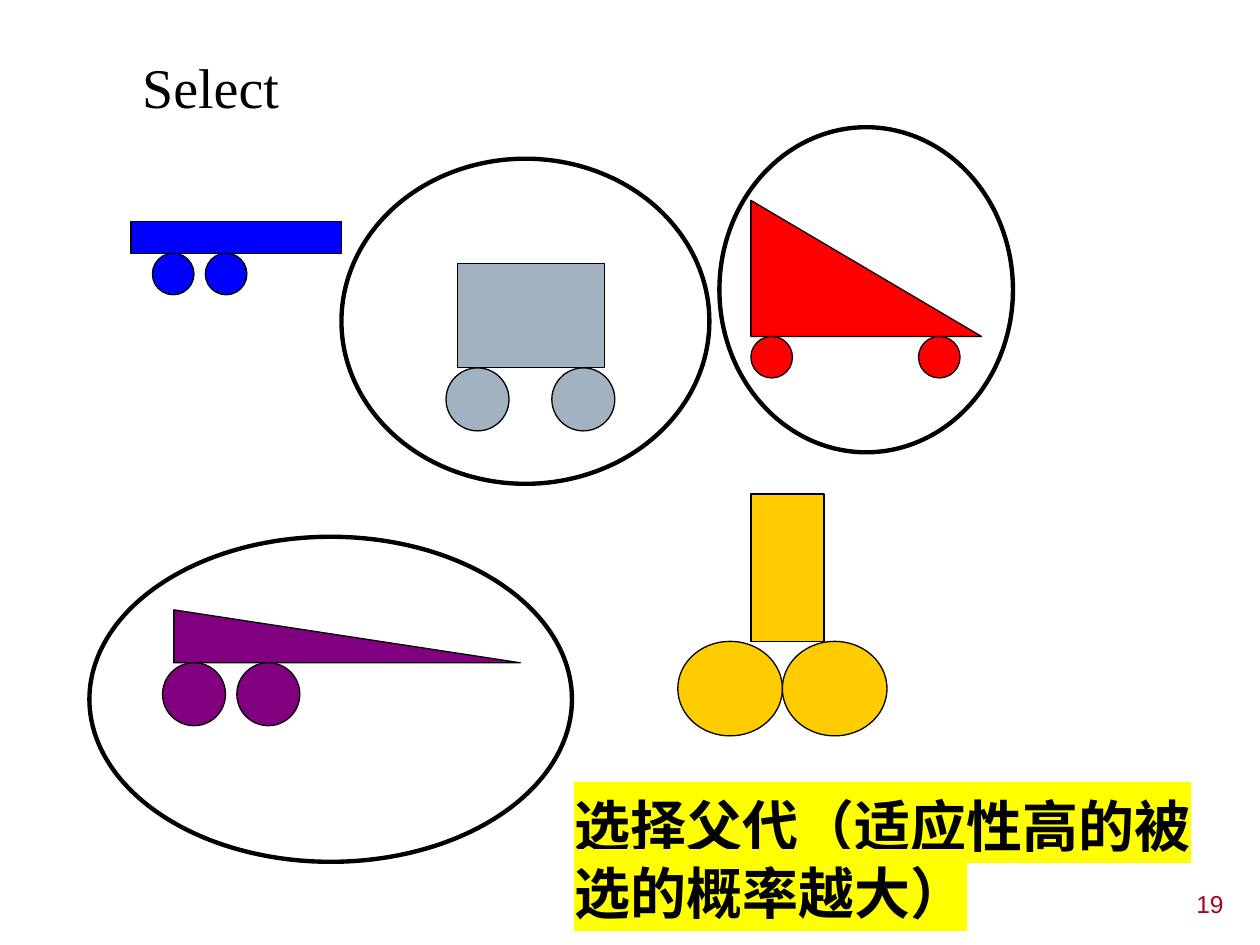
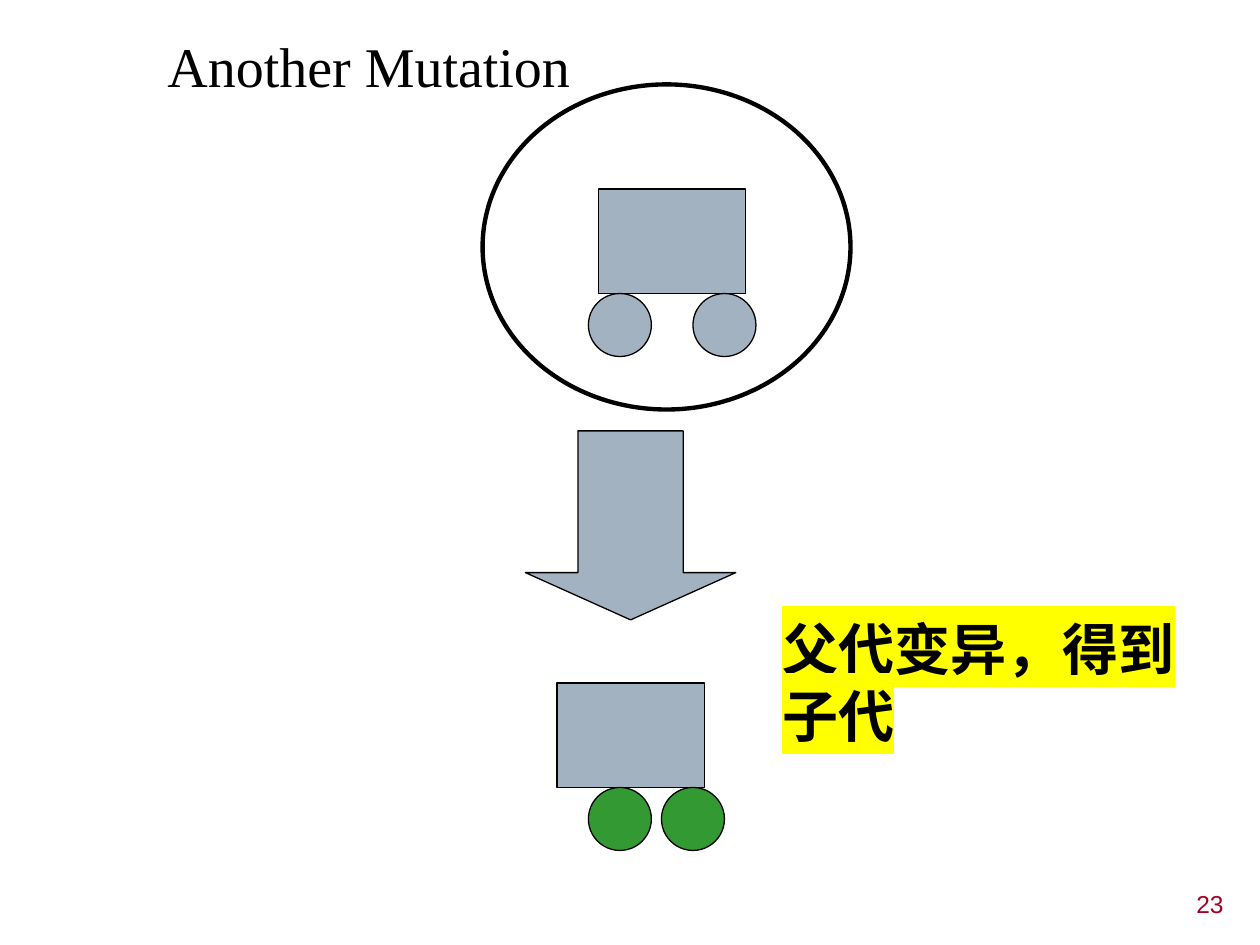
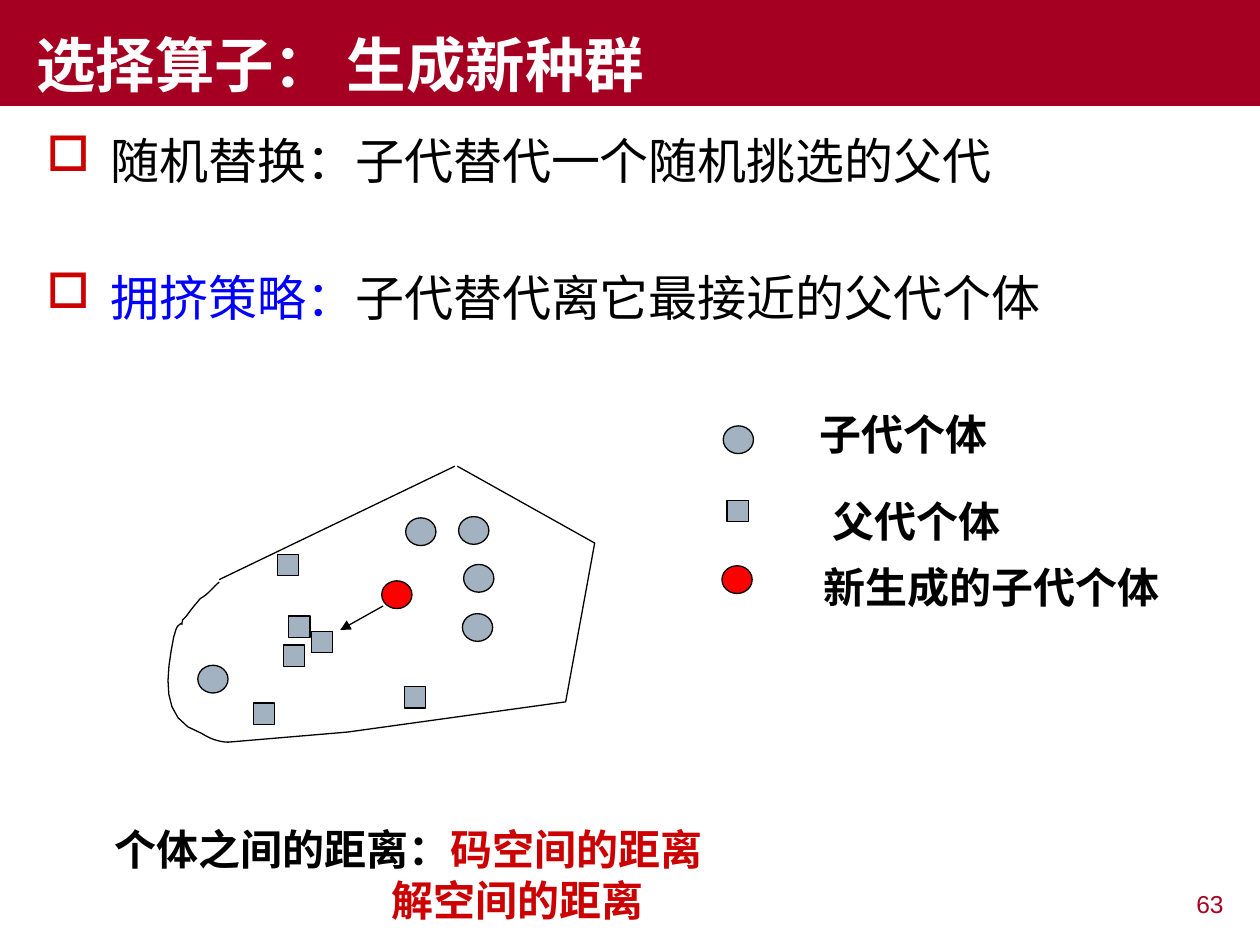
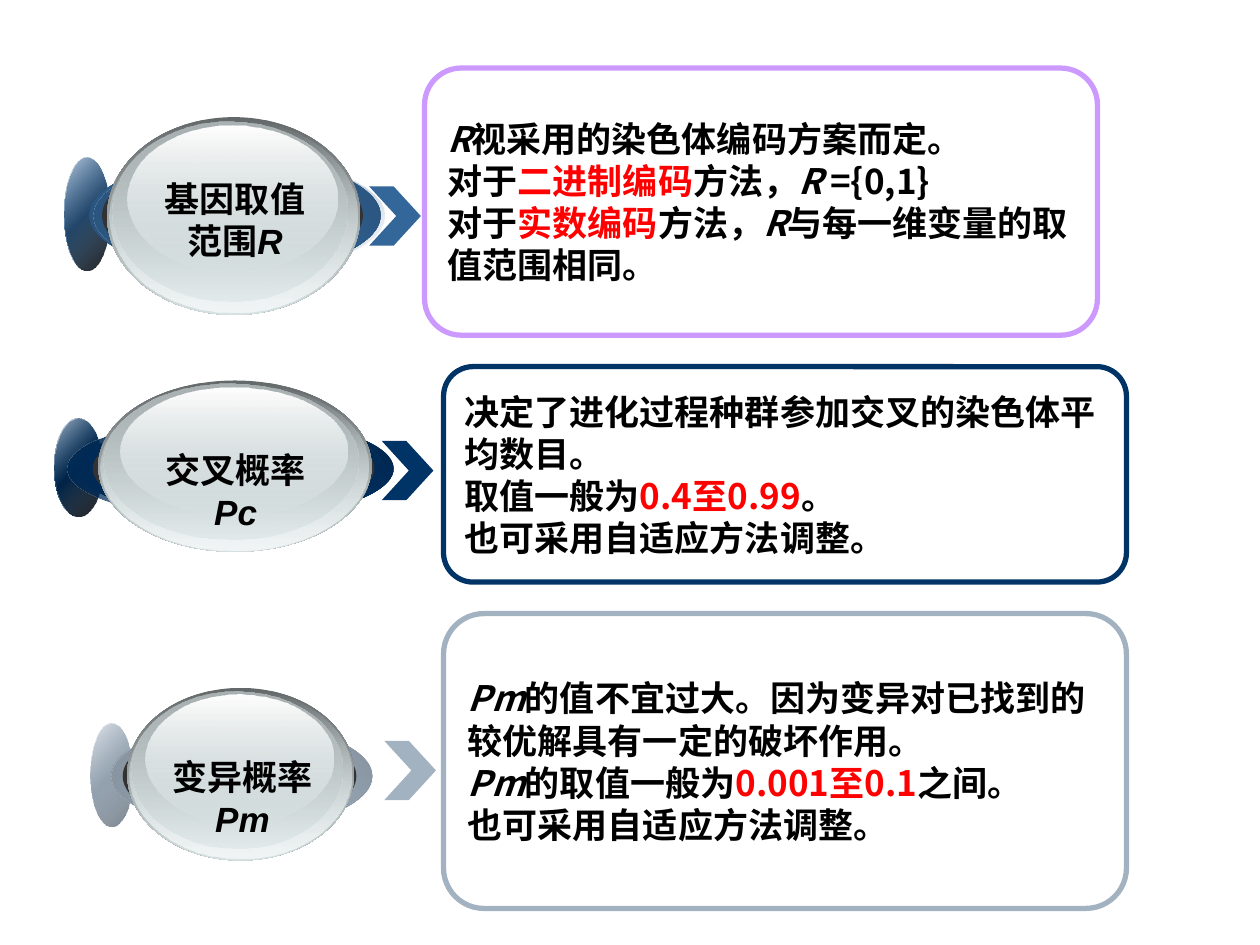
import pptx
import pptx.dml.color
import pptx.enum.shapes
import pptx.enum.text
import pptx.oxml
import pptx.oxml.ns
import pptx.util

Inches = pptx.util.Inches
Pt = pptx.util.Pt
RGBColor = pptx.dml.color.RGBColor
SHAPE = pptx.enum.shapes.MSO_SHAPE
ALIGN = pptx.enum.text.PP_ALIGN
ANCHOR = pptx.enum.text.MSO_ANCHOR

BLACK = RGBColor(0x00, 0x00, 0x00)
WHITE = RGBColor(0xFF, 0xFF, 0xFF)
CRIMSON = RGBColor(0xA5, 0x00, 0x21)
DARK_RED = RGBColor(0xCC, 0x00, 0x00)
RED = RGBColor(0xFF, 0x00, 0x00)
BLUE = RGBColor(0x00, 0x00, 0xFF)
PURPLE = RGBColor(0x80, 0x00, 0x80)
GOLD = RGBColor(0xFF, 0xCC, 0x00)
GREEN = RGBColor(0x33, 0x99, 0x33)
YELLOW = RGBColor(0xFF, 0xFF, 0x00)
STEEL = RGBColor(0xA3, 0xB2, 0xC1)
NAVY = RGBColor(0x00, 0x33, 0x66)
OCEAN = RGBColor(0x33, 0x66, 0x99)
LILAC = RGBColor(0xCC, 0x99, 0xFF)
CHARCOAL = RGBColor(0x33, 0x33, 0x33)
RIM = RGBColor(0x63, 0x68, 0x69)
MIST = RGBColor(0xD6, 0xE1, 0xE2)
PALE = RGBColor(0xF1, 0xF5, 0xF5)
ASH = RGBColor(0xAA, 0xB2, 0xB3)

SANS = "Arial"
SERIF = "Times New Roman"
CJK = "Noto Sans CJK SC"
LEADING = 1.2


def shade(color, factor):
    return RGBColor(*(round(v * factor) for v in color))


def curve(start, c1, c2, end, steps=8):
    points = []
    for i in range(1, steps + 1):
        t = i / steps
        weights = ((1 - t) ** 3, 3 * t * (1 - t) ** 2, 3 * t * t * (1 - t), t ** 3)
        points.append(tuple(sum(w * q[axis] for w, q in zip(weights, (start, c1, c2, end)))
                            for axis in (0, 1)))
    return points


def element(tag, inner="", **attributes):
    listed = "".join(f' {name}="{value}"' for name, value in attributes.items())
    ns = pptx.oxml.ns.nsdecls("a")
    return pptx.oxml.parse_xml(f"<a:{tag} {ns}{listed}>{inner}</a:{tag}>")


class Deck:
    def __init__(self):
        self.prs = pptx.Presentation()
        self.prs.slide_width = Inches(10)
        self.prs.slide_height = Inches(7.5)
        self.s = None

    def slide(self, number=None):
        self.s = self.prs.slides.add_slide(self.prs.slide_layouts[6])
        if number:
            self.text((7.64, 7.01, 2.17, 0.39), [[number]], size=14, color=CRIMSON,
                      align=ALIGN.RIGHT)

    def paint(self, sp, fill, line, width):
        sp.shadow.inherit = False
        if fill is None:
            sp.fill.background()
        else:
            sp.fill.solid()
            sp.fill.fore_color.rgb = fill
        if line is None:
            sp.line.fill.background()
        else:
            sp.line.color.rgb = line
            sp.line.width = Pt(width)

    def shape(self, kind, at, fill=None, line=BLACK, width=0.75, adjust=()):
        sp = self.s.shapes.add_shape(kind, *map(Inches, at))
        for i, value in enumerate(adjust):
            sp.adjustments[i] = value
        self.paint(sp, fill, line, width)
        return sp

    def gradient_oval(self, at, stops, angle):
        sp = self.shape(SHAPE.OVAL, at, line=None)
        inner = "".join(
            f'<a:gs pos="{pos * 1000}"><a:srgbClr val="{color}">'
            f'<a:alpha val="{opacity * 1000}"/></a:srgbClr></a:gs>'
            for pos, color, opacity in stops)
        inner = f'<a:gsLst>{inner}</a:gsLst><a:lin ang="{angle * 60000}" scaled="1"/>'
        props = sp._element.spPr
        props.replace(props.find(pptx.oxml.ns.qn("a:noFill")),
                      element("gradFill", inner, rotWithShape=1))

    def add_runs(self, tf, paragraphs, size, font=SANS, color=BLACK, bold=False,
                 highlight=None, align=ALIGN.LEFT, leading=LEADING):
        tf.word_wrap = True
        for i, runs in enumerate(paragraphs):
            p = tf.paragraphs[0] if i == 0 else tf.add_paragraph()
            p.alignment = align
            if leading:
                p.line_spacing = Pt(size * leading)
            for run in runs:
                words, style = (run, {}) if isinstance(run, str) else run
                r = p.add_run()
                r.text = words
                r.font.size = Pt(size)
                r.font.bold = bold
                r.font.italic = style.get("italic", False)
                r.font.color.rgb = style.get("color", color)
                if highlight:
                    r._r.get_or_add_rPr().append(
                        element("highlight", f'<a:srgbClr val="{highlight}"/>'))
                r.font.name = style.get("font", font)
                r._r.get_or_add_rPr().append(element("ea", typeface=CJK))

    def text(self, at, paragraphs, **style):
        tf = self.s.shapes.add_textbox(*map(Inches, at)).text_frame
        self.add_runs(tf, paragraphs, **style)
        return tf

    def heading(self, at, words):
        self.text(at, [[words]], size=32, font=SERIF, leading=None)

    def marker(self, at, words):
        self.text(at, [[words]], size=32, bold=True, highlight=YELLOW)

    def indent(self, p, left, first):
        props = p._p.get_or_add_pPr()
        props.set("marL", str(Inches(left)))
        props.set("indent", str(Inches(first)))
        return props

    def band_title(self, words):
        sp = self.shape(SHAPE.RECTANGLE, (0, 0, 10, 0.84), CRIMSON, None)
        tf = sp.text_frame
        tf.vertical_anchor = ANCHOR.BOTTOM
        self.add_runs(tf, [[words]], size=34, color=WHITE, bold=True)
        self.indent(tf.paragraphs[0], 0, 0.19)

    def bullets(self, at, paragraphs, gap):
        tf = self.text(at, paragraphs, size=28)
        for i, p in enumerate(tf.paragraphs):
            if i:
                p.space_before = Pt(gap)
            props = self.indent(p, 0.51, -0.51)
            props.append(element("buClr", f'<a:srgbClr val="{DARK_RED}"/>'))
            props.append(element("buChar", char="□"))

    def line(self, start, end, arrow=False):
        sp = self.s.shapes.add_connector(pptx.enum.shapes.MSO_CONNECTOR.STRAIGHT,
                                         *map(Inches, start + end))
        sp.line.color.rgb = BLACK
        sp.line.width = Pt(0.75)
        if arrow:
            sp.line._get_or_add_ln().append(element("tailEnd", type="triangle"))
        sp._element.spPr.append(element("effectLst"))

    def outline(self, points):
        scaled = [(Inches(x), Inches(y)) for x, y in points]
        builder = self.s.shapes.build_freeform(*scaled[0])
        builder.add_line_segments(scaled[1:], close=False)
        self.paint(builder.convert_to_shape(), None, BLACK, 0.75)

    def vehicle(self, kind, body, color, wheels, wheel_size, wheel_color=None):
        self.shape(kind, body, color)
        top = body[1] + body[3]
        for left in wheels:
            self.shape(SHAPE.OVAL, (left, top) + wheel_size, wheel_color or color)

    def ring(self, at):
        self.shape(SHAPE.OVAL, at, width=2.5)

    def badge(self, color, disc, bowl, shift, disc_end, label_at, label):
        x, y, w, h = bowl
        ring_top, ring_height = disc[1] + 0.01, disc[3]
        ring_left, ring_width = x - 0.07 * w, 1.15 * w
        self.gradient_oval(disc, [(0, WHITE, 100), (50, color, 100), (100, WHITE, 100)], 45)
        self.gradient_oval(disc, [(0, color, 32), (100,) + disc_end], 45)
        edge = shade(color, 0.76)
        self.gradient_oval((ring_left, ring_top, ring_width, ring_height),
                           [(0, edge, 100), (50, color, 100), (100, edge, 100)], 315)
        self.gradient_oval((ring_left + shift, ring_top, ring_width, ring_height),
                           [(0, shade(color, 0.82), 100), (100, color, 0)], 45)
        self.shape(SHAPE.OVAL, (x - 0.02 * w, ring_top, 1.03 * w, ring_height),
                   CHARCOAL, None)
        layers = [
            ((0, 0, 1, 1), (RIM, 100), (MIST, 100)),
            ((0.01, 0.01, 0.98, 0.98), (MIST, 0), (PALE, 100)),
            ((0.02, 0.02, 0.93, 0.91), (ASH, 100), (MIST, 48)),
            ((0.08, 0.04, 0.83, 0.74), (WHITE, 100), (MIST, 38)),
        ]
        for (dx, dy, dw, dh), first, last in layers:
            self.gradient_oval((x + dx * w, y + dy * h, dw * w, dh * h),
                               [(0,) + first, (100,) + last], 90)
        self.text(label_at, label, size=20, font=CJK, bold=True, align=ALIGN.CENTER)

    def panel(self, at, color, paragraphs):
        sp = self.shape(SHAPE.ROUNDED_RECTANGLE, at, None, color, 3, (0.137,))
        sp.text_frame.vertical_anchor = ANCHOR.MIDDLE
        self.add_runs(sp.text_frame, paragraphs, size=20, font=CJK, bold=True)

    def chevron(self, left, top, color):
        self.shape(SHAPE.CHEVRON, (left, top, 0.41, 0.47), color, None, adjust=(0.525,))


def select_slide(deck):
    deck.slide("19")
    small, medium = (0.33, 0.33), (0.5, 0.5)
    deck.vehicle(SHAPE.RECTANGLE, (1.04, 1.76, 1.67, 0.25), BLUE, (1.21, 1.63), small)
    deck.vehicle(SHAPE.RECTANGLE, (3.63, 2.09, 1.17, 0.83), STEEL, (3.54, 4.38), medium)
    deck.vehicle(SHAPE.RIGHT_TRIANGLE, (5.96, 1.59, 1.83, 1.08), RED, (5.96, 7.29), small)
    deck.vehicle(SHAPE.RIGHT_TRIANGLE, (1.38, 4.84, 2.75, 0.42), PURPLE, (1.29, 1.88), medium)
    deck.vehicle(SHAPE.RECTANGLE, (5.96, 3.92, 0.58, 1.17), GOLD, (5.38, 6.21), (0.83, 0.75))
    deck.heading((1.03, 0.37, 2.92, 0.63), "Select")
    for left, top, width in ((0.71, 4.26, 3.83), (2.71, 1.26, 2.92), (5.71, 1.01, 2.33)):
        deck.ring((left, top, width, 2.58))
    deck.marker((4.46, 6.23, 5.17, 1.18), "选择父代（适应性高的被选的概率越大）")


def mutation_slide(deck):
    deck.slide("23")
    wheel = (0.5, 0.5)
    deck.vehicle(SHAPE.RECTANGLE, (4.75, 1.5, 1.17, 0.83), STEEL, (4.67, 5.5), wheel)
    deck.heading((1.23, 0.2, 3.6, 0.63), "Another Mutation")
    deck.ring((3.83, 0.67, 2.92, 2.58))
    deck.shape(SHAPE.DOWN_ARROW, (4.17, 3.42, 1.67, 1.5), STEEL, adjust=(0.5, 0.25))
    deck.vehicle(SHAPE.RECTANGLE, (4.42, 5.42, 1.17, 0.83), STEEL, (4.67, 5.25), wheel, GREEN)
    deck.marker((6.11, 4.83, 3.46, 1.18), "父代变异，得到子代")


def replacement_slide(deck):
    deck.slide("63")
    deck.band_title("选择算子： 生成新种群")
    deck.bullets((0.27, 0.99, 9.45, 6.41), [
        ["随机替换：子代替代一个随机挑选的父代"],
        [("拥挤策略：", {"color": BLUE}), "子代替代离它最接近的父代个体"],
    ], gap=44.6)

    border = [(1.74, 4.62)]
    for c1, c2, end in (
        ((1.69, 4.66), (1.65, 4.72), (1.59, 4.75)),
        ((1.55, 4.8), (1.52, 4.83), (1.48, 4.89)),
        ((1.47, 4.9), (1.45, 4.92), (1.45, 4.92)),
        ((1.43, 5), (1.47, 4.91), (1.41, 4.97)),
        ((1.39, 5), (1.39, 5.03), (1.38, 5.05)),
        ((1.32, 5.36), (1.26, 5.71), (1.6, 5.82)),
        ((1.66, 5.86), (1.74, 5.89), (1.81, 5.89)),
    ):
        border += curve(border[-1], c1, c2, end)
    border += [(2.76, 5.81), (4.49, 5.57), (4.72, 4.31), (3.63, 3.7)]
    deck.outline(border)
    deck.line((1.74, 4.6), (3.61, 3.7))

    parents = [(2.01, 5.58), (2.25, 5.12), (3.21, 5.45), (2.2, 4.4), (2.29, 4.89),
               (2.47, 5.01), (5.77, 3.97)]
    children = [(3.22, 4.11), (3.68, 4.48), (3.64, 4.1), (3.67, 4.87), (1.57, 5.28),
                (5.74, 3.38)]
    newborns = [(3.03, 4.61), (5.73, 4.49)]
    for kind, places, size, color in (
        (SHAPE.RECTANGLE, parents, (0.17, 0.17), STEEL),
        (SHAPE.OVAL, children, (0.24, 0.22), STEEL),
        (SHAPE.OVAL, newborns, (0.24, 0.22), RED),
    ):
        for place in places:
            deck.shape(kind, place + size, color)
    deck.line((3.04, 4.81), (2.7, 5), arrow=True)

    for left, top, width, words in (
        (6.41, 3.19, 1.56, "子代个体"),
        (6.51, 3.88, 1.56, "父代个体"),
        (6.44, 4.41, 2.91, "新生成的子代个体"),
    ):
        deck.text((left, top, width, 0.51), [[words]], size=24, bold=True)
    tf = deck.text((0.81, 6.49, 4.94, 0.91), [
        ["个体之间的距离：", ("码空间的距离", {"color": DARK_RED})],
        [("解空间的距离", {"color": DARK_RED})],
    ], size=24, bold=True)
    deck.indent(tf.paragraphs[1], 2.2, 0)


def parameters_slide(deck):
    deck.slide()
    italic, symbol = {"italic": True}, {"italic": True, "font": SANS}
    red = {"color": RED}
    adaptive = ["也可采用自适应方法调整。"]
    deck.badge(OCEAN, (0.51, 1.25, 0.36, 0.9), (0.85, 0.93, 2.01, 1.57), 0.03, (BLACK, 90),
               (1.02, 1.36, 1.69, 1.13), [["基因取值"], ["范围", ("R", symbol)]])
    deck.badge(NAVY, (0.43, 3.32, 0.38, 0.78), (0.78, 3.02, 2.17, 1.36), -0.09, (BLACK, 90),
               (0.98, 3.51, 1.78, 0.98), [["交叉概率"], [("Pc", symbol)]])
    deck.badge(STEEL, (0.72, 5.74, 0.33, 0.82), (1.01, 5.46, 1.8, 1.37), 0,
               (shade(STEEL, 0.72), 100),
               (1.16, 5.95, 1.53, 1.03), [["变异概率"], [("Pm", symbol)]])
    deck.chevron(2.93, 1.48, OCEAN)
    deck.chevron(3.03, 3.5, NAVY)
    deck.chevron(3.05, 5.88, STEEL)
    deck.panel((3.37, 0.54, 5.34, 2.12), LILAC, [
        [("R", italic), "视采用的染色体编码方案而定。"],
        ["对于", ("二进制编码", red), "方法，", ("R ", italic), "={0,1}"],
        ["对于", ("实数编码", red), "方法，", ("R", italic), "与每一维变量的取值范围相同。"],
    ])
    deck.panel((3.52, 2.91, 5.42, 1.71), NAVY, [
        ["决定了进化过程种群参加交叉的染色体平均数目。"],
        ["取值一般为", ("0.4至0.99", red), "。"],
        adaptive,
    ])
    deck.panel((3.52, 4.87, 5.42, 2.34), STEEL, [
        [("Pm", italic), "的值不宜过大。因为变异对已找到的较优解具有一定的破坏作用。"],
        [("Pm", italic), "的取值一般为", ("0.001至0.1", red), "之间。"],
        adaptive,
    ])


def main():
    deck = Deck()
    select_slide(deck)
    mutation_slide(deck)
    replacement_slide(deck)
    parameters_slide(deck)
    deck.prs.save("out.pptx")


if __name__ == "__main__":
    main()
